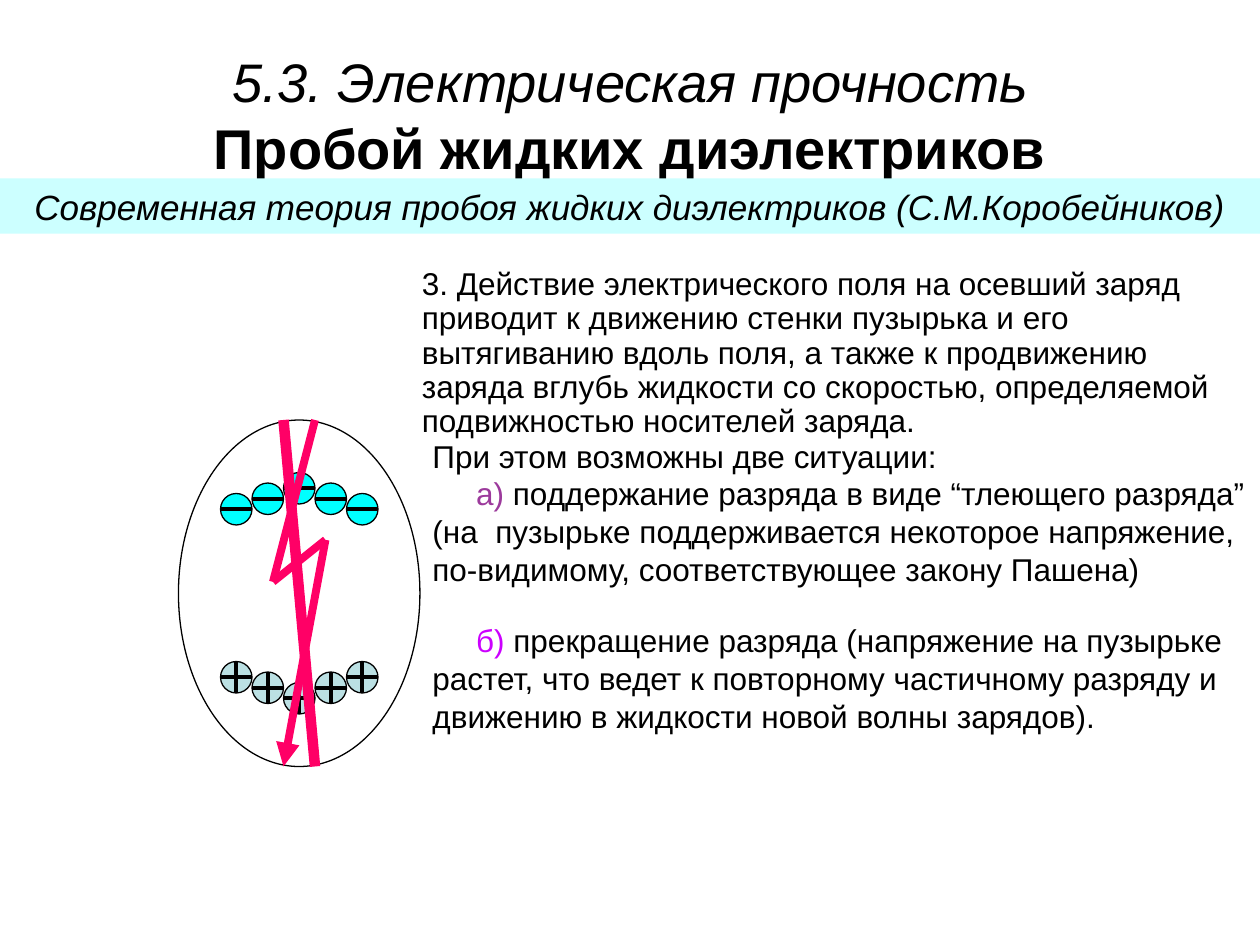
"""Build a slide on the breakdown of liquid dielectrics."""
from dataclasses import dataclass
from itertools import pairwise

from lxml import etree
from pptx import Presentation
from pptx.dml.color import RGBColor
from pptx.enum.shapes import MSO_CONNECTOR, MSO_SHAPE
from pptx.enum.text import PP_ALIGN
from pptx.oxml.ns import qn
from pptx.util import Pt

OVAL = MSO_SHAPE.OVAL
RECTANGLE = MSO_SHAPE.RECTANGLE
STRAIGHT = MSO_CONNECTOR.STRAIGHT
CENTER = PP_ALIGN.CENTER
LEFT = PP_ALIGN.LEFT


@dataclass(frozen=True)
class Theme:
    font: str = "Arial"
    ink: str = "000000"
    bubble: str = "FFFFFF"
    band: str = "CCFFFF"
    negative: str = "00FFFF"
    positive: str = "BBE0E3"
    discharge: str = "FF0066"
    first_case: str = "9C3A9C"
    second_case: str = "CC00FF"
    section: float = 31
    heading: float = 32
    subtitle: float = 20
    body: float = 18


THEME = Theme()
CHARGE_SIZE = 18
CHARGE_LEFT = 126
NEGATIVE_TOPS = (282, 276, 270, 276, 282)
POSITIVE_TOPS = (378, 384, 390, 384, 378)
SPARK_POINTS = ((180, 240), (156, 332.5), (186, 308.5), (162, 438))
CASE_INDENT = 25
CASE_TAB = 56


def add_filled_shape(shapes, kind, box, fill, outline=None):
    shape = shapes.add_shape(kind, *map(Pt, box))
    shape.shadow.inherit = False
    shape.fill.solid()
    shape.fill.fore_color.rgb = RGBColor.from_string(fill)
    if outline:
        shape.line.color.rgb = RGBColor.from_string(outline)
        shape.line.width = Pt(0.75)
    else:
        shape.line.fill.background()
    return shape


def add_line(shapes, start, end, color, width, arrow=False):
    line = shapes.add_connector(STRAIGHT, *map(Pt, start + end))
    line.line.color.rgb = RGBColor.from_string(color)
    line.line.width = Pt(width)
    if arrow:
        etree.SubElement(line.line._ln, qn("a:tailEnd"), type="triangle")
    etree.SubElement(line._element.spPr, qn("a:effectLst"))


def add_charge(slide, left, top, fill, positive):
    group = slide.shapes.add_group_shape()
    add_filled_shape(group.shapes, OVAL, (left, top, CHARGE_SIZE, CHARGE_SIZE), fill, THEME.ink)
    middle_x, middle_y = left + CHARGE_SIZE / 2, top + CHARGE_SIZE / 2
    add_line(group.shapes, (left, middle_y), (left + CHARGE_SIZE, middle_y), THEME.ink, 2.25)
    if positive:
        add_line(group.shapes, (middle_x, top + CHARGE_SIZE), (middle_x, top), THEME.ink, 2.25)


def add_charge_row(slide, tops, fill, positive):
    for index, top in enumerate(tops):
        add_charge(slide, CHARGE_LEFT + index * CHARGE_SIZE, top, fill, positive)


def add_text_box(slide, box):
    text_frame = slide.shapes.add_textbox(*map(Pt, box)).text_frame
    text_frame.word_wrap = True
    return text_frame


def format_font(font, size, color=THEME.ink, bold=False, italic=False):
    font.name = THEME.font
    font.size = Pt(size)
    font.color.rgb = RGBColor.from_string(color)
    font.bold = bold
    font.italic = italic


def write_paragraph(paragraph, text, size, alignment=LEFT, bold=False, italic=False):
    paragraph.text = text
    paragraph.alignment = alignment
    format_font(paragraph.runs[0].font, size, bold=bold, italic=italic)


def write_case(paragraph, label, text, label_color):
    properties = paragraph._p.get_or_add_pPr()
    properties.set("indent", str(Pt(CASE_INDENT)))
    tabs = etree.SubElement(properties, qn("a:tabLst"))
    etree.SubElement(tabs, qn("a:tab"), pos=str(Pt(CASE_TAB)), algn="l")
    for words, color in ((label, label_color), (text, THEME.ink)):
        run = paragraph.add_run()
        run.text = words
        format_font(run.font, THEME.body, color)


def add_headings(slide):
    title = add_text_box(slide, (6, 24, 708, 80))
    write_paragraph(title.paragraphs[0], "5.3. Электрическая прочность",
                    THEME.section, CENTER, italic=True)
    heading = title.add_paragraph()
    write_paragraph(heading, "Пробой жидких диэлектриков", THEME.heading, CENTER, bold=True)
    heading.line_spacing = 0.4
    heading.space_before = Pt(20)

    band = add_filled_shape(slide.shapes, RECTANGLE, (0, 102, 720, 31.5), THEME.band)
    band.text_frame.word_wrap = True
    write_paragraph(band.text_frame.paragraphs[0],
                    "Современная теория пробоя жидких диэлектриков (С.М.Коробейников)",
                    THEME.subtitle, CENTER, italic=True)


def add_explanation(slide):
    action = add_text_box(slide, (234, 150, 468, 104.5)).paragraphs[0]
    write_paragraph(action, "3. Действие электрического поля на осевший заряд приводит к движению "
                    "стенки пузырька и его вытягиванию вдоль поля, а также к продвижению заряда "
                    "вглубь жидкости со скоростью, определяемой подвижностью носителей заряда.",
                    THEME.body)
    action.line_spacing = 0.9

    situations = add_text_box(slide, (240, 246, 480, 115))
    write_paragraph(situations.paragraphs[0], "При этом возможны две ситуации:", THEME.body)
    write_case(situations.add_paragraph(), "а)",
               " поддержание разряда в виде “тлеющего разряда” (на\tпузырьке поддерживается "
               "некоторое напряжение, по-видимому, соответствующее закону Пашена)",
               THEME.first_case)

    ending = add_text_box(slide, (240, 351.5, 480, 105))
    write_case(ending.paragraphs[0], "б) ",
               "прекращение разряда (напряжение на пузырьке растет, что ведет к повторному "
               "частичному разряду и движению в жидкости новой волны зарядов).",
               THEME.second_case)


def add_discharge(slide):
    add_line(slide.shapes, (162, 240), (180, 438), THEME.discharge, 6)
    spark = slide.shapes.add_group_shape()
    for start, end in pairwise(SPARK_POINTS):
        add_line(spark.shapes, start, end, THEME.discharge, 4.5, arrow=end == SPARK_POINTS[-1])


def main():
    presentation = Presentation()
    presentation.slide_width = Pt(720)
    presentation.slide_height = Pt(540)
    slide = presentation.slides.add_slide(presentation.slide_layouts[6])
    add_filled_shape(slide.shapes, OVAL, (102, 240, 138, 198), THEME.bubble, THEME.ink)
    add_headings(slide)
    add_charge_row(slide, POSITIVE_TOPS, THEME.positive, True)
    add_charge_row(slide, NEGATIVE_TOPS, THEME.negative, False)
    add_explanation(slide)
    add_discharge(slide)
    presentation.save("out.pptx")


if __name__ == "__main__":
    main()
